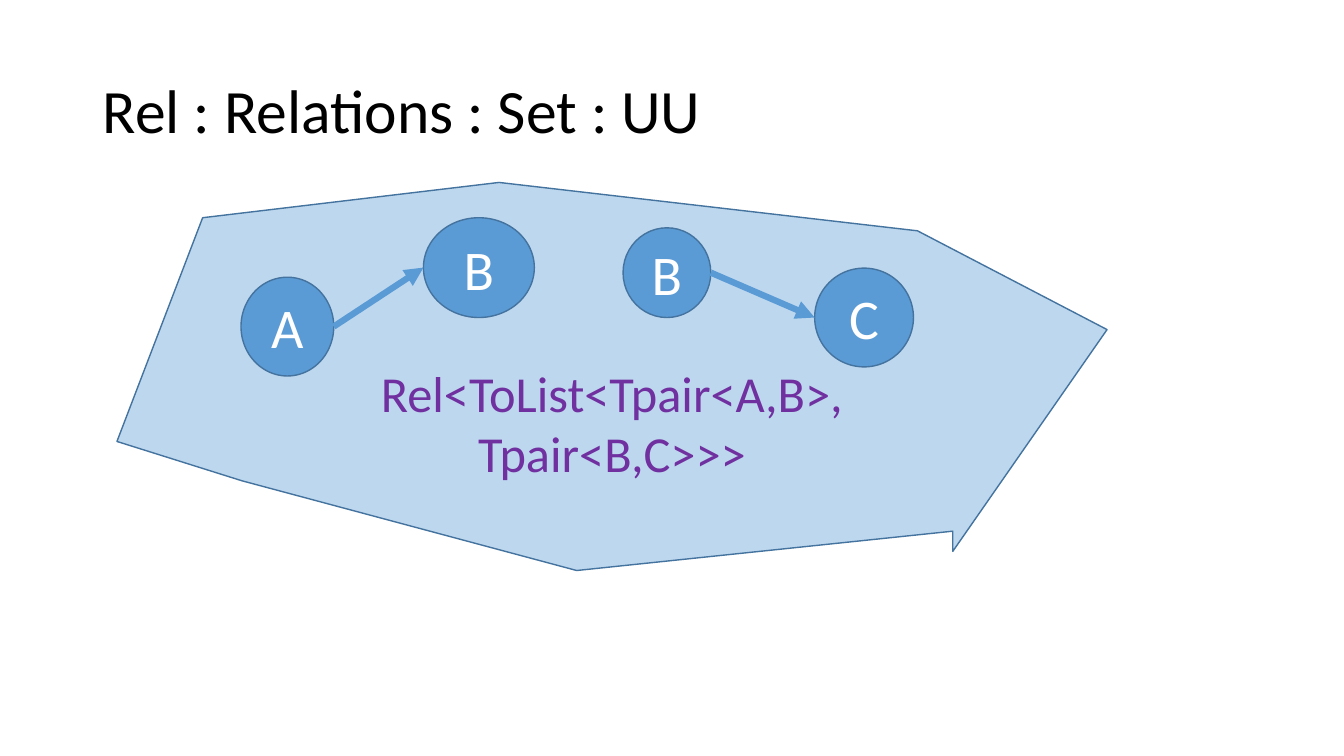
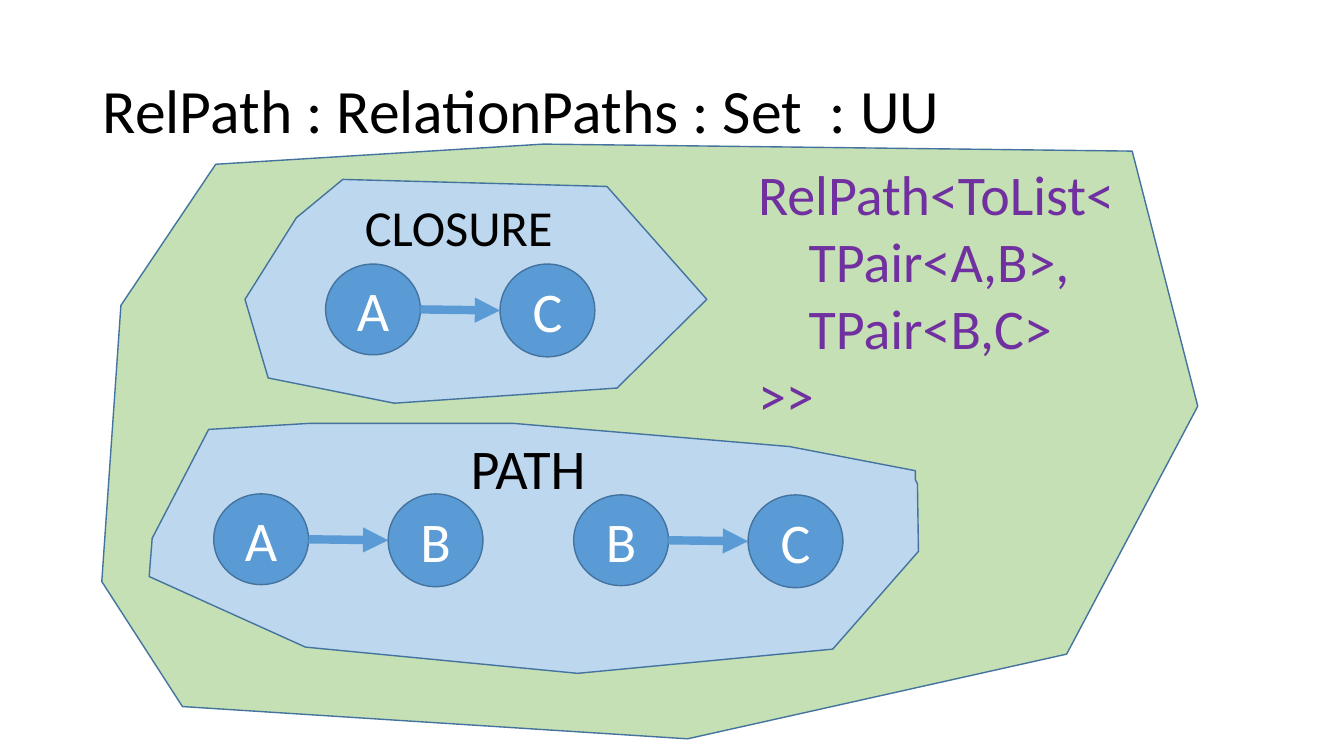
from lxml.etree import SubElement
from pptx import Presentation
from pptx.dml.color import RGBColor
from pptx.enum.shapes import MSO_CONNECTOR, MSO_SHAPE
from pptx.enum.text import MSO_ANCHOR, MSO_AUTO_SIZE, PP_ALIGN
from pptx.oxml.ns import qn
from pptx.util import Pt

PX = 9144  # EMU per px, 100 px to the inch
FONT = "Calibri"
BLACK, WHITE, PURPLE = "000000", "FFFFFF", "7030A0"
NODE_BLUE, OUTLINE = "5B9BD5", "43739E"
PALE_BLUE, PALE_GREEN = "BDD7EE", "C5E0B4"


def color(hex_code):
    return RGBColor.from_string(hex_code)


class Deck:
    """Holds the shared style and the current slide."""

    def __init__(self):
        self.prs = Presentation()
        self.prs.slide_width, self.prs.slide_height = 1333 * PX, 750 * PX
        self.slide = None

    def new_slide(self, heading):
        self.slide = self.prs.slides.add_slide(self.prs.slide_layouts[5])
        title = self.slide.shapes.title
        title.left, title.top = 92 * PX, 40 * PX
        title.width, title.height = 1150 * PX, 145 * PX
        frame = title.text_frame
        frame.auto_size = MSO_AUTO_SIZE.NONE
        frame.vertical_anchor = MSO_ANCHOR.MIDDLE
        self.set_text(frame, heading, 44, BLACK)
        frame.paragraphs[0].line_spacing = 0.9

    def set_text(self, frame, text, size, ink, align=PP_ALIGN.LEFT):
        frame.text = text
        for paragraph in frame.paragraphs:
            paragraph.alignment = align
            for run in paragraph.runs:
                run.font.name, run.font.size = FONT, Pt(size)
                run.font.color.rgb = color(ink)

    def paint(self, shape, fill):
        shape.shadow.inherit = False
        shape.fill.solid()
        shape.fill.fore_color.rgb = color(fill)
        shape.line.color.rgb = color(OUTLINE)
        shape.line.width = Pt(1)

    def region(self, corners, fill):
        builder = self.slide.shapes.build_freeform(*corners[0], scale=PX)
        builder.add_line_segments(corners[1:], close=True)
        outline = builder.convert_to_shape()
        self.paint(outline, fill)
        return outline

    def node(self, name, left, top, width, height):
        circle = self.slide.shapes.add_shape(
            MSO_SHAPE.OVAL, left * PX, top * PX, width * PX, height * PX)
        self.paint(circle, NODE_BLUE)
        circle.text_frame.vertical_anchor = MSO_ANCHOR.MIDDLE
        self.set_text(circle.text_frame, name, 40, WHITE, PP_ALIGN.CENTER)
        return circle

    def arrow(self, source, target, weight):
        link = self.slide.shapes.add_connector(
            MSO_CONNECTOR.STRAIGHT,
            source.left + source.width, source.top + source.height // 2,
            target.left, target.top + target.height // 2)
        link.line.color.rgb = color(NODE_BLUE)
        link.line.width = Pt(weight)
        properties = link.element.spPr
        SubElement(properties.find(qn("a:ln")), qn("a:tailEnd"),
                   type="triangle")
        SubElement(properties, qn("a:effectLst"))

    def pair(self, names, left, top):
        """Two nodes side by side, joined by an arrow."""
        first = self.node(names[0], left, top, 94, 90)
        second = self.node(names[1], left + 173, top, 94, 92)
        self.arrow(first, second, 6)

    def label(self, text, left, top, width, height, size, ink=BLACK):
        box = self.slide.shapes.add_textbox(
            left * PX, top * PX, width * PX, height * PX)
        box.text_frame.word_wrap = False
        box.text_frame.auto_size = MSO_AUTO_SIZE.SHAPE_TO_FIT_TEXT
        self.set_text(box.text_frame, text, size, ink)


def relations_slide(deck):
    deck.new_slide("Rel : Relations : Set : UU")

    # Relation set with its type expression
    relation_set = deck.region(
        [(116, 438), (201, 216), (495, 181), (910, 229), (1098, 327),
         (945, 547), (945, 527), (572, 566), (240, 477)], PALE_BLUE)
    frame = relation_set.text_frame
    frame.vertical_anchor = MSO_ANCHOR.MIDDLE
    frame.margin_top = 96 * PX
    deck.set_text(frame, "Rel<ToList<Tpair<A,B>,\nTpair<B,C>>>", 36, PURPLE,
                  PP_ALIGN.CENTER)

    # Member relations
    a = deck.node("A", 239, 275, 92, 98)
    b_target = deck.node("B", 420, 216, 110, 99)
    b_source = deck.node("B", 618, 226, 87, 89)
    c = deck.node("C", 808, 266, 98, 98)
    deck.arrow(a, b_target, 4.5)
    deck.arrow(b_source, c, 4.5)


def relation_paths_slide(deck):
    deck.new_slide("RelPath : RelationPaths : Set  : UU")

    # Enclosing set, path region and closure region
    deck.region([(214, 163), (120, 303), (101, 577), (181, 701), (682, 733),
                 (1058, 649), (1188, 403), (1123, 150), (539, 143)],
                PALE_GREEN)
    deck.region([(151, 534), (207, 426), (307, 420), (509, 420), (783, 443),
                 (908, 467), (908, 476), (910, 480), (911, 547), (826, 644),
                 (573, 668), (303, 642), (148, 572)], PALE_BLUE)
    deck.region([(294, 216), (243, 297), (266, 375), (391, 400), (612, 385),
                 (701, 297), (602, 185), (340, 178)], PALE_BLUE)

    # Related nodes
    for names, left, top in (("AC", 323, 262), ("AB", 212, 490),
                             ("BC", 569, 491)):
        deck.pair(names, left, top)

    # Region names and type expression
    deck.label("CLOSURE", 352, 190, 208, 71, 36)
    deck.label("PATH", 457, 425, 135, 77, 40)
    deck.label("RelPath<ToList<\n    TPair<A,B>,\n    TPair<B,C>\n>>",
               742, 153, 377, 279, 40, PURPLE)


def main():
    deck = Deck()
    relations_slide(deck)
    relation_paths_slide(deck)
    deck.prs.save("out.pptx")


if __name__ == "__main__":
    main()
